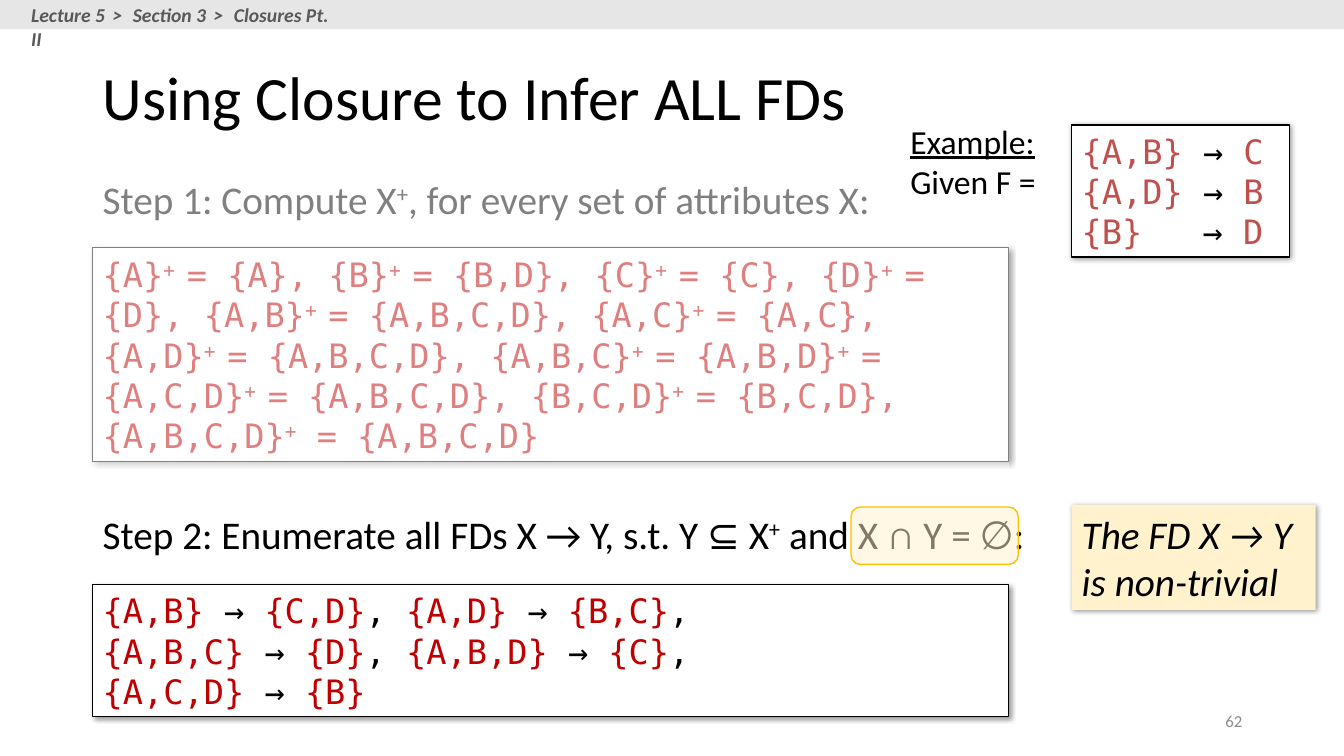
"""Build the lecture slide on inferring all functional dependencies with closures."""
from dataclasses import dataclass

from lxml.etree import SubElement
from pptx import Presentation
from pptx.dml.color import RGBColor
from pptx.enum.shapes import MSO_SHAPE as Shape
from pptx.enum.text import MSO_ANCHOR as Anchor, MSO_AUTO_SIZE as AutoSize, PP_ALIGN as Align
from pptx.oxml.ns import qn
from pptx.util import Inches, Pt

TITLE = "Using Closure to Infer ALL FDs"
BREADCRUMB = ["Lecture 5| > |Section 3| > |Closures Pt. II"]
EXAMPLE = ["|Example:", "Given F ="]
GIVEN_FDS = ["{A,B} |→ |C", "{A,D} |→| B", "{B}\t|→| D"]
STEP_1 = ["Step 1: Compute X|+|, for every set of attributes X:"]
CLOSURES = [
    "{A}|+ |= {A}, {B}|+ |= {B,D}, {C}|+ |= {C}, {D}|+ |= {D}, "
    "{A,B}|+ |= {A,B,C,D}, {A,C}|+ |= {A,C}, {A,D}|+ |= {A,B,C,D}, "
    "{A,B,C}|+ |= {A,B,D}|+ |= {A,C,D}|+ |= {A,B,C,D}, "
    "{B,C,D}|+ |= {B,C,D}, {A,B,C,D}|+| = {A,B,C,D}"
]
STEP_2 = ["Step 2: Enumerate all FDs X → Y, s.t. Y ⊆ X|+| and X ∩ Y = ∅:"]
INFERRED_FDS = [
    "{A,B} |→ |{C,D}|, |{A,D} |→ |{B,C}|,",
    "{A,B,C} |→ |{D}|, |{A,B,D} |→ |{C}|,",
    "{A,C,D} |→ |{B}",
]
REMARK = ["The FD X → Y is non-trivial"]
PAGE = ["62"]

WIDTH, HEIGHT = 13.33, 7.5
LEFT, SIDE = 0.92, 10.63
BOX_WIDTH = 9.08
MONO_CHARACTER = 0.2


@dataclass(frozen=True)
class Theme:
    sans: str = "Calibri"
    mono: str = "DejaVu Sans Mono"
    black: str = "000000"
    white: str = "FFFFFF"
    grey: str = "8C8C8C"
    dark_grey: str = "595959"
    bar: str = "E7E6E6"
    red: str = "C00000"
    soft_red: str = "C0504D"
    cream: str = "FFF2CC"
    gold: str = "FFC000"
    title: int = 44
    step: int = 28
    code: int = 24
    crumb: int = 14
    page: int = 12


THEME = Theme()


def rgb(color):
    return RGBColor.from_string(color)


def superscript(run):
    run.font._element.set("baseline", "30000")


def blacken(run):
    run.font.color.rgb = rgb(THEME.black)


def underline(run):
    run.font.underline = True


def widen(run):
    run.font._element.set("spc", "210")


def write(shape, lines, size, color=THEME.black, font=THEME.sans, accent=None,
          wrap=True, anchor=Anchor.TOP, align=Align.LEFT, bold=False, italic=False):
    frame = shape.text_frame
    frame.word_wrap = wrap
    frame.auto_size = AutoSize.NONE
    frame.vertical_anchor = anchor
    for row, line in enumerate(lines):
        paragraph = frame.paragraphs[0] if row == 0 else frame.add_paragraph()
        paragraph.alignment = align
        if "\t" in line:
            tabs = SubElement(paragraph._p.get_or_add_pPr(), qn("a:tabLst"))
            SubElement(tabs, qn("a:tab"), pos=str(Inches(6 * MONO_CHARACTER)), algn="l")
        for index, part in enumerate(line.split("|")):
            if not part:
                continue
            run = paragraph.add_run()
            run.text = part
            run.font.name = font
            run.font.size = Pt(size)
            run.font.bold = bold
            run.font.italic = italic
            run.font.color.rgb = rgb(color)
            if accent and index % 2:
                accent(run)


def add_label(slide, place, lines, size, **style):
    write(slide.shapes.add_textbox(*map(Inches, place)), lines, size, **style)


def add_panel(slide, place, fill, line=None, weight=0.75, kind=Shape.RECTANGLE,
              opacity=None, shadow=False):
    panel = slide.shapes.add_shape(kind, *map(Inches, place))
    panel.shadow.inherit = False
    panel.fill.solid()
    panel.fill.fore_color.rgb = rgb(fill)
    if opacity:
        color = panel._element.spPr.find(qn("a:solidFill"))[0]
        SubElement(color, qn("a:alpha"), val=str(opacity * 1000))
    if line:
        panel.line.color.rgb = rgb(line)
        panel.line.width = Pt(weight)
    else:
        panel.line.fill.background()
    if shadow:
        effects = panel._element.spPr.find(qn("a:effectLst"))
        outer = SubElement(effects, qn("a:outerShdw"), blurRad=str(Pt(4)), dist=str(Pt(1)),
                           dir=str(45 * 60000), algn="tl", rotWithShape="0")
        color = SubElement(outer, qn("a:srgbClr"), val=THEME.black)
        SubElement(color, qn("a:alpha"), val="40000")
    return panel


def add_code(slide, place, lines, color, accent, wrap=True):
    box = add_panel(slide, place, THEME.white, THEME.black, shadow=True)
    write(box, lines, THEME.code, color, THEME.mono, accent, wrap, Anchor.MIDDLE)


def add_veil(slide, place):
    add_panel(slide, place, THEME.white, opacity=50)


def add_title(slide):
    title = slide.shapes.title
    title.left, title.top = Inches(LEFT), Inches(0.27)
    title.width, title.height = Inches(WIDTH - 2 * LEFT), Inches(1.45)
    write(title, [TITLE], THEME.title, anchor=Anchor.MIDDLE)
    title.text_frame.paragraphs[0].line_spacing = 0.9


def main():
    presentation = Presentation()
    presentation.slide_width, presentation.slide_height = Inches(WIDTH), Inches(HEIGHT)
    slide = presentation.slides.add_slide(presentation.slide_layouts[5])

    add_label(slide, (9.42, 6.95, 3, 0.4), PAGE, THEME.page, color=THEME.grey,
              anchor=Anchor.MIDDLE, align=Align.RIGHT)
    add_title(slide)
    add_code(slide, (SIDE, 1.24, 2.16, 1.31), GIVEN_FDS, THEME.soft_red, blacken, wrap=False)
    add_label(slide, (8.93, 1.15, 1.46, 0.91), EXAMPLE, THEME.code,
              accent=underline, wrap=False)

    add_code(slide, (LEFT, 2.46, BOX_WIDTH, 2.12), CLOSURES, THEME.red, superscript)
    add_label(slide, (LEFT, 5.01, 9.44, 0.57), STEP_2, THEME.step,
              accent=superscript, wrap=False)
    add_code(slide, (LEFT, 5.8, BOX_WIDTH, 1.31), INFERRED_FDS, THEME.red, blacken)
    add_veil(slide, (0.74, 2.39, 9.27, 2.32))

    add_panel(slide, (8.44, 5.03, 1.66, 0.57), THEME.cream, THEME.gold, 1,
              Shape.ROUNDED_RECTANGLE, opacity=50)
    remark = add_panel(slide, (SIDE, 5.01, 2.42, 1.04), THEME.cream, shadow=True)
    write(remark, REMARK, THEME.step, italic=True)

    add_panel(slide, (0, 0, WIDTH, 0.29), THEME.bar)
    add_label(slide, (0.21, -0.02, 3.24, 0.34), BREADCRUMB, THEME.crumb,
              color=THEME.dark_grey, accent=widen, bold=True, italic=True)
    add_label(slide, (LEFT, 1.69, 7.92, 0.57), STEP_1, THEME.step,
              accent=superscript, wrap=False)
    add_veil(slide, (0.85, 1.64, 7.84, 0.69))

    presentation.save("out.pptx")


if __name__ == "__main__":
    main()
